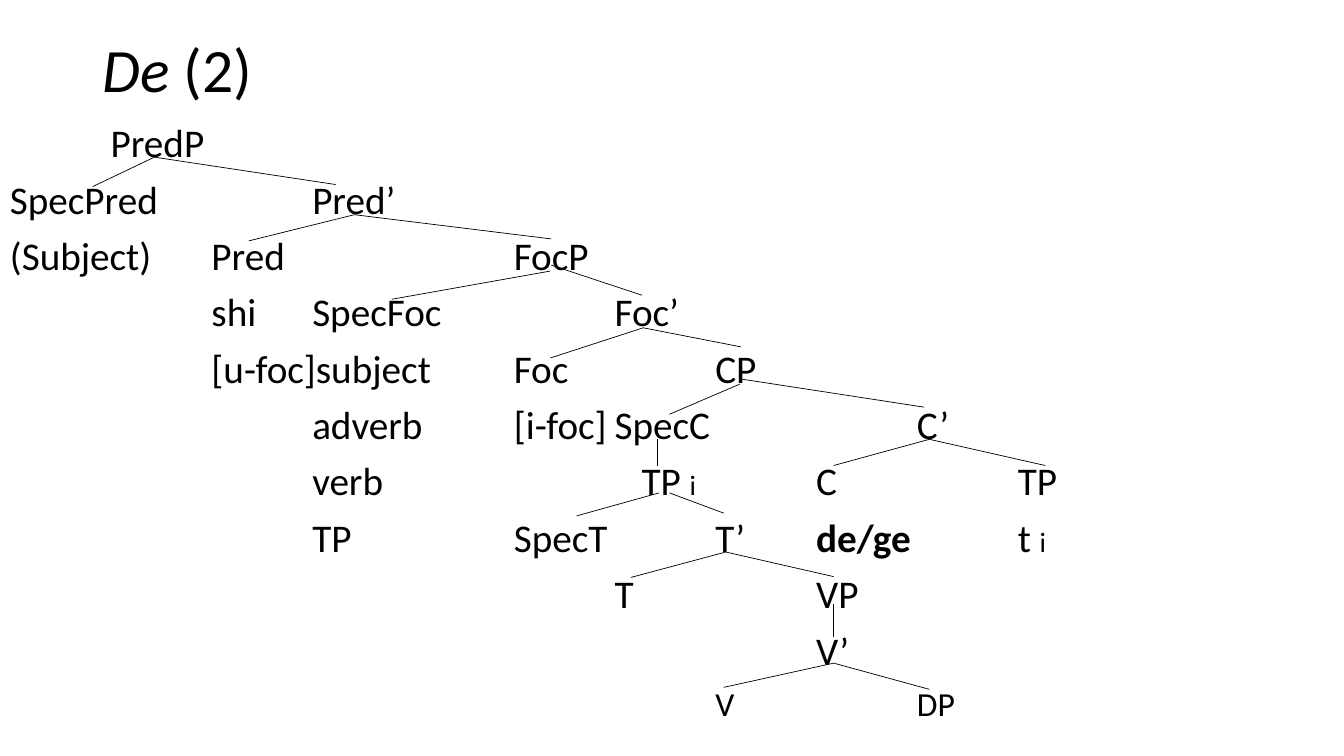
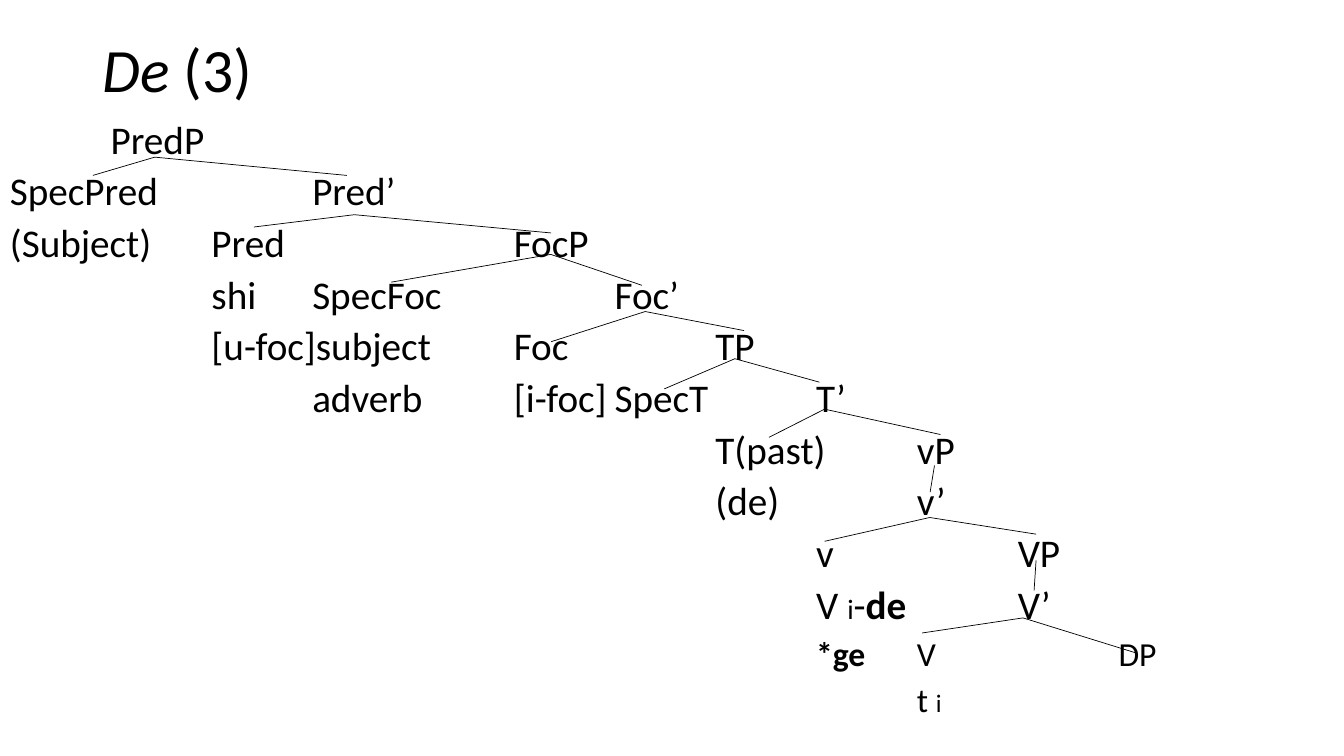
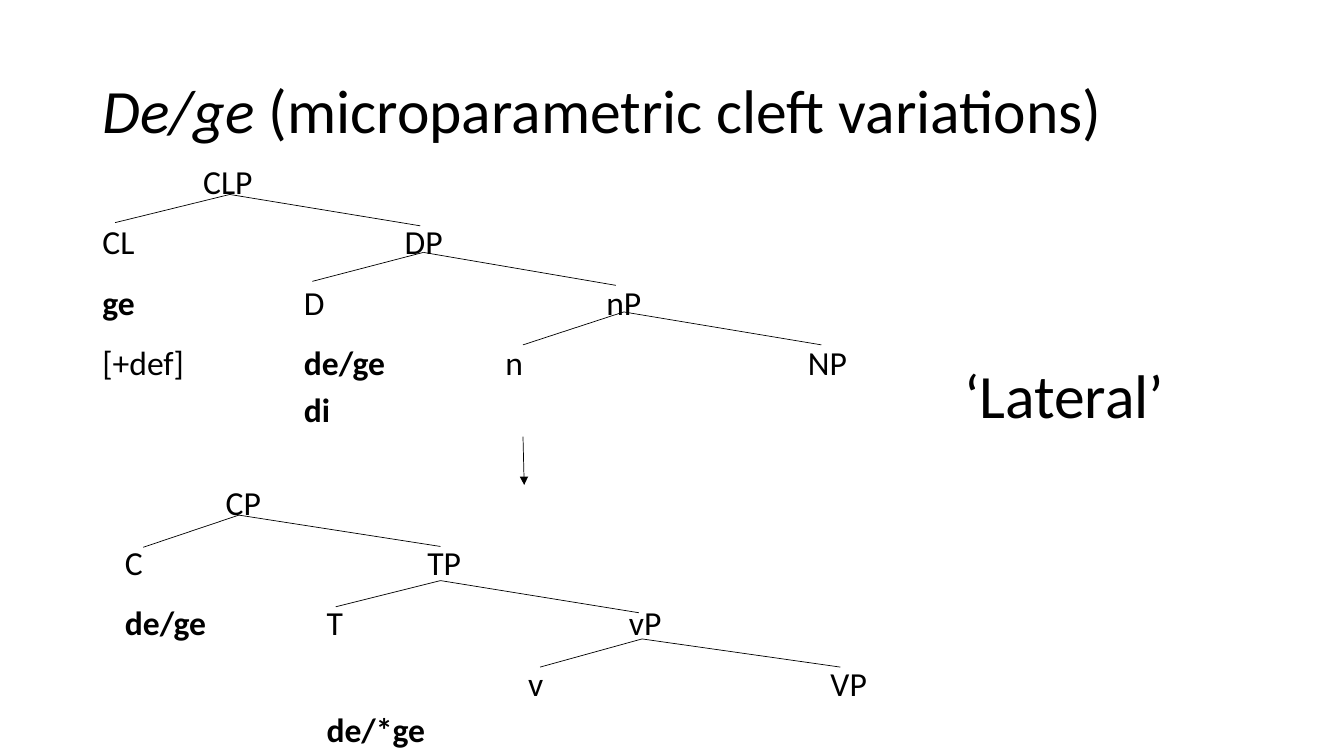
from pptx import Presentation
from pptx.dml.color import RGBColor
from pptx.enum.shapes import MSO_CONNECTOR
from pptx.enum.text import MSO_ANCHOR
from pptx.oxml.ns import qn
from pptx.util import Cm, Pt
from lxml.etree import SubElement

COLORS = {"ink": "000000", "paper": "FFFFFF"}
FONT = "Calibri"
COLUMN = 2.54
BOLD = {"bold": True}
ITALIC = {"italic": True}
SUBSCRIPT = {"size": 20}
SMALL = {"size": 24}


def add_text(slide, rows, left, top, width, height, size=28, line=0.9,
             before=0, after=0, anchor=MSO_ANCHOR.TOP):
    frame = slide.shapes.add_textbox(Cm(left), Cm(top), Cm(width), Cm(height)).text_frame
    frame.word_wrap = True
    frame.vertical_anchor = anchor
    for index, row in enumerate(rows):
        paragraph = frame.add_paragraph() if index else frame.paragraphs[0]
        paragraph.line_spacing = line
        paragraph.space_before = Pt(before)
        paragraph.space_after = Pt(after)
        stops = SubElement(paragraph._p.get_or_add_pPr(), qn("a:tabLst"))
        for column in range(1, 13):
            SubElement(stops, qn("a:tab"), pos=str(Cm(column * COLUMN)), algn="l")
        for part in [row] if isinstance(row, str) else row:
            text, style = (part, {}) if isinstance(part, str) else part
            for number, piece in enumerate(text.split("\n")):
                if number:
                    paragraph.add_line_break()
                run = paragraph.add_run()
                run.text = piece
                font = run.font
                font.name = FONT
                font.size = Pt(style.get("size", size))
                font.bold = style.get("bold", False)
                font.italic = style.get("italic", False)
                font.color.rgb = RGBColor.from_string(COLORS["ink"])
    return frame


def add_branches(slide, branches, arrow=False):
    for apex, *ends in branches:
        for end in ends:
            branch = slide.shapes.add_connector(
                MSO_CONNECTOR.STRAIGHT, *[Cm(value) for value in apex + end])
            branch.line.width = Pt(0.5)
            branch.line.color.rgb = RGBColor.from_string(COLORS["ink"])
            properties = branch._element.spPr
            if arrow:
                SubElement(properties.find(qn("a:ln")), qn("a:tailEnd"), type="triangle")
            SubElement(properties, qn("a:effectLst"))


presentation = Presentation()
presentation.slide_width = Cm(33.87)
presentation.slide_height = Cm(19.05)

titles = [("De ", "(2)", 0), ("De ", "(3)", 0),
          ("De/ge ", "(microparametric cleft variations)", 1.02)]
slides = []
for particle, rest, top in titles:
    slide = presentation.slides.add_slide(presentation.slide_layouts[6])
    slide.background.fill.solid()
    slide.background.fill.fore_color.rgb = RGBColor.from_string(COLORS["paper"])
    add_text(slide, [[(particle, ITALIC), rest]], 2.33, top, 29.21, 3.68,
             size=44, anchor=MSO_ANCHOR.MIDDLE)
    slides.append(slide)
complement_slide, past_slide, variation_slide = slides

focus_rows = [
    "\tPredP",
    "SpecPred\t\tPred’",
    "(Subject)\tPred\t\t\tFocP",
    "\t\tshi\tSpecFoc\t\tFoc’",
]
complement_rows = focus_rows + [
    "\t\t[u-foc]subject\tFoc\t\tCP",
    "\t\t\tadverb\t[i-foc]\tSpecC\t\t\tC’",
    ["\t\t\tverb\t\t\tTP ", ("i", SUBSCRIPT), "\t\tC\t\tTP"],
    ["\t\t\tTP\t\tSpecT\t\tT’\t", ("de/ge", BOLD), "\t\tt ", ("i", SUBSCRIPT)],
    "\t\t\t\t\t\tT\t\tVP",
    "\t\t\t\t\t\t\t\tV’",
    [("\t\t\t\t\t\t\tV\t\tDP", SMALL)],
]
past_rows = focus_rows + [
    "\t\t[u-foc]subject\tFoc\t\tTP",
    "\t\t\tadverb\t[i-foc]\tSpecT\t\tT’",
    "\t\t\t\t\t\t\tT(past)\tvP",
    "\t\t\t\t\t\t\t(de)\t\tv’",
    "\t\t\t\t\t\t\t\tv\t\tVP",
    ["\t\t\t\t\t\t\t\tV ", ("i", SUBSCRIPT), "-", ("de", BOLD), "\t\tV’"],
    [("\t\t\t\t\t\t\t\t", SMALL), ("*ge", BOLD | SMALL), ("\tV\t\tDP", SMALL)],
    [("\t\t\t\t\t\t\t\t\tt ", SMALL), ("i", {"size": 18})],
]
tree_box = (0, 3, 33.87, 16.05)

complement_tree = add_text(complement_slide, complement_rows, *tree_box, before=10)
moved_tp_stops = complement_tree.paragraphs[6]._p.pPr.find(qn("a:tabLst"))
moved_tp_stops[5].set("pos", str(Cm(15.92)))
add_branches(complement_slide, [
    ((3.89, 3.96), (2.34, 4.7), (8.46, 4.65)),
    ((8.93, 5.41), (6.27, 6.07), (13.89, 6.02)),
    ((13.87, 6.83), (9.88, 7.54)),
    ((13.89, 6.68), (16.18, 7.44)),
    ((16.21, 8.26), (13.87, 9.02), (18.67, 8.74)),
    ((18.64, 9.68), (16.87, 10.44)),
    ((18.67, 9.55), (23.29, 10.26)),
    ((23.42, 11.07), (21.01, 11.73), (26.34, 11.73)),
    ((16.56, 11.07), (16.56, 11.73)),
    ((16.61, 12.42), (14.53, 13)),
    ((16.87, 12.42), (18.24, 12.93)),
    ((18.29, 13.91), (15.9, 14.55), (21.01, 14.53)),
    ((21.01, 15.21), (21.01, 16.05)),
    ((21.01, 16.71), (18.24, 17.32), (23.42, 17.37)),
])

add_text(past_slide, past_rows, *tree_box, line=0.8, before=10)
add_branches(past_slide, [
    ((3.9, 3.96), (2.34, 4.42), (8.74, 4.42)),
    ((8.93, 5.41), (6.4, 5.72), (13.89, 5.87)),
    ((13.88, 6.41), (9.86, 7.11), (16.18, 7.19)),
    ((16.26, 7.85), (13.89, 8.61), (18.75, 8.33)),
    ((18.52, 9.04), (16.74, 9.8), (20.65, 9.63)),
    ((20.78, 10.31), (19.38, 11.02), (23.7, 10.95)),
    ((23.55, 11.73), (23.44, 12.4)),
    ((23.43, 13.04), (20.78, 13.64), (26.11, 13.46)),
    ((26.11, 14.12), (26.06, 14.88)),
    ((25.78, 15.57), (23.24, 15.95), (28.65, 16.46)),
])

nominal_rows = [
    "\tCLP",
    "CL\t\t\tDP",
    [("ge", BOLD), "\t\tD\t\t\tnP"],
    ["[+def]\t\t", ("de/ge", BOLD), "\t\tn\t\t\tNP\n\t\t", ("di", BOLD)],
]
clausal_rows = [
    "\tCP",
    "C\t\t\tTP",
    [("de/ge", BOLD), "\t\tT\t\t\tvP"],
    ["\t\t\t\tv\t\t\tVP\n\t\t", ("de/*ge", BOLD)],
]
for rows, left, top in [(nominal_rows, 2.33, 3.78), (clausal_rows, 2.9, 11.86)]:
    add_text(variation_slide, rows, left, top, 30.96, 7.21, size=24, line=1.15, after=10)
add_text(variation_slide, ["‘Lateral’"], 24.05, 8.86, 8.69, 2.13, size=44, line=1.0)
add_branches(variation_slide, [((13.18, 11), (13.21, 12.22))], arrow=True)
add_branches(variation_slide, [
    ((5.79, 4.9), (2.9, 5.61), (10.59, 5.69)),
    ((10.67, 6.36), (7.87, 7.09), (15.52, 7.19)),
    ((15.72, 7.86), (13.18, 8.69), (20.7, 8.69)),
    ((6.02, 12.98), (3.61, 13.79), (11.1, 13.77)),
    ((11.1, 14.63), (8.46, 15.29), (16.1, 15.44)),
    ((16.18, 16.1), (13.61, 16.81), (21.18, 16.81)),
])

presentation.save("out.pptx")
